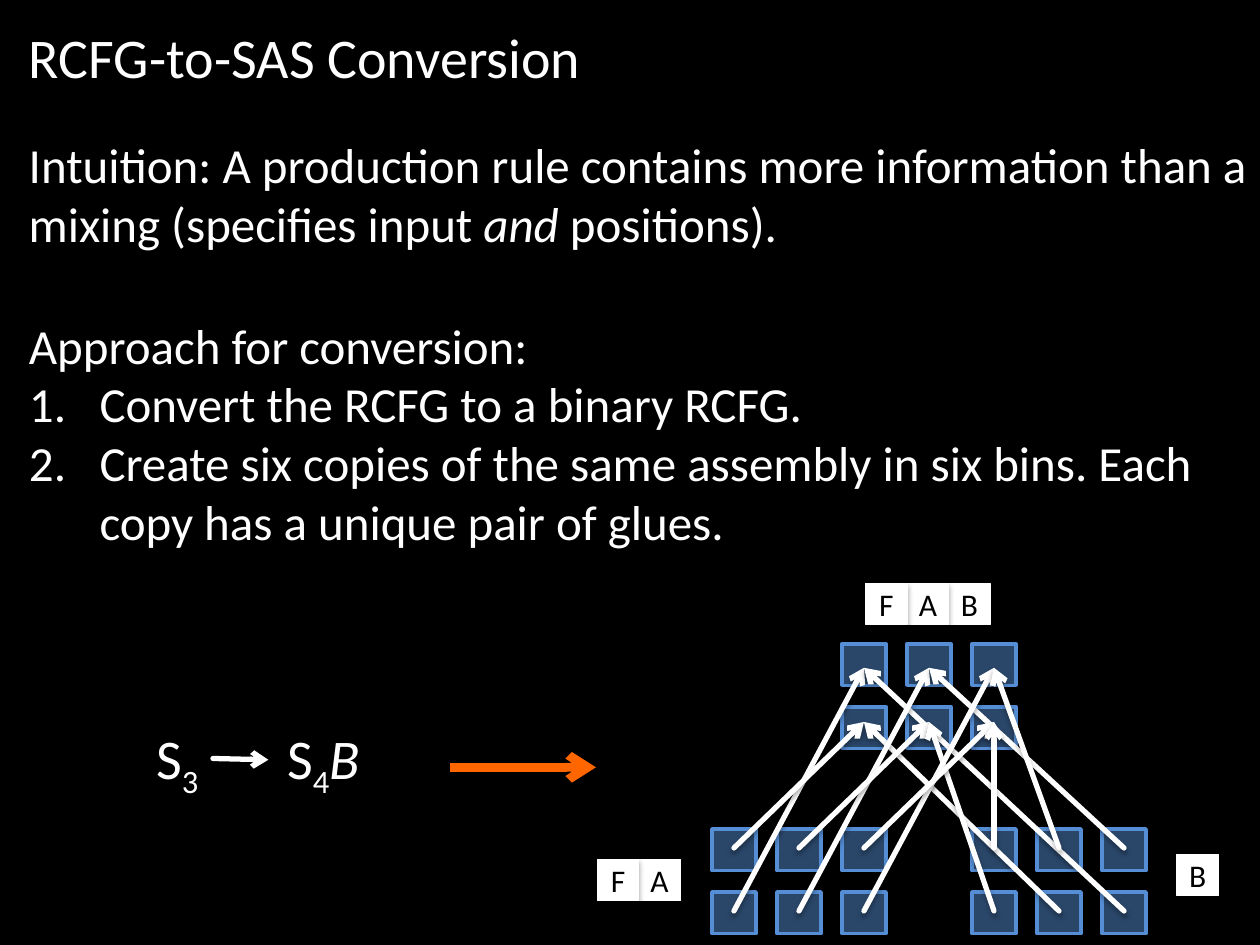
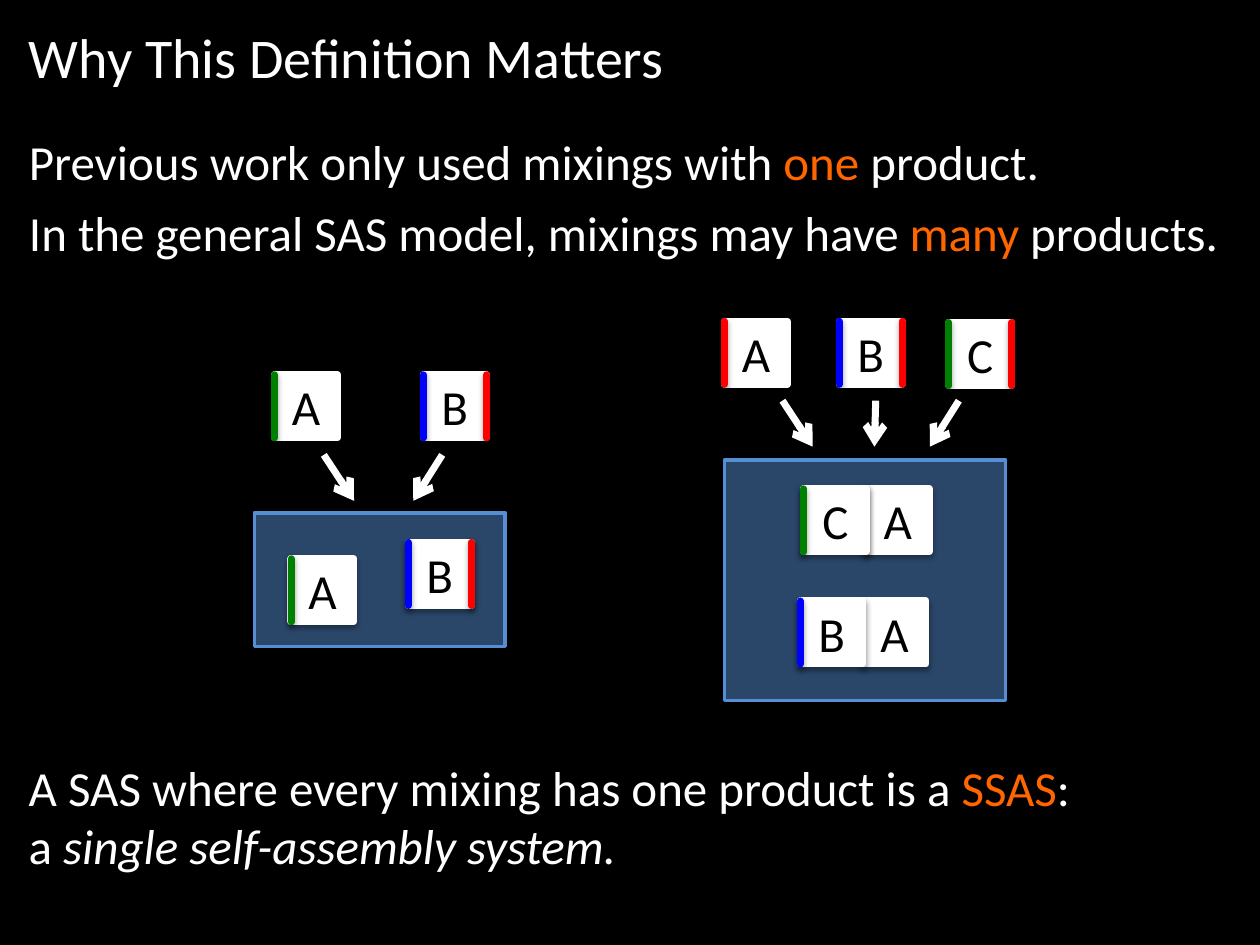
from itertools import product

from lxml.etree import SubElement
from pptx import Presentation
from pptx.dml.color import RGBColor
from pptx.enum.shapes import MSO_CONNECTOR, MSO_SHAPE
from pptx.enum.text import MSO_ANCHOR, MSO_AUTO_SIZE, PP_ALIGN
from pptx.oxml.ns import qn
from pptx.util import Inches, Pt

BLACK = RGBColor(0x00, 0x00, 0x00)
WHITE = RGBColor(0xFF, 0xFF, 0xFF)
ORANGE = RGBColor(0xFF, 0x66, 0x00)
BIN_BLUE = RGBColor(0x55, 0x8E, 0xD5)
RED = RGBColor(0xFF, 0x00, 0x00)
GREEN = RGBColor(0x00, 0x80, 0x00)
BLUE = RGBColor(0x00, 0x00, 0xFF)

FONT = "Calibri"
TITLE_SIZE, BODY_SIZE, TILE_SIZE = 32, 28, 18
ITALIC, ACCENT, SUB = "italic", "accent", "subscript"

# The slide is a grid of 100 columns and 75 rows of square cells.
COLUMNS, ROWS = 100, 75
CELL = Inches(0.1)
MARGIN = 1.3
FULL = COLUMNS - MARGIN
TITLE_BOX = (MARGIN, 1.3, 90, 6.4)


def write(slide, paragraphs, box, holder=None, size=BODY_SIZE, color=WHITE,
          align=PP_ALIGN.LEFT, anchor=MSO_ANCHOR.TOP, inset=(1, 0.5),
          gap=0, numbered_from=None):
    """Set paragraphs, each a list of strings or (string, mark), in a holder or a new text box.

    Paragraphs from index numbered_from on become a numbered list.
    """
    left, top, width, height = [int(n * CELL) for n in box]
    holder = holder or slide.shapes.add_textbox(left, top, width, height)
    holder.left, holder.top, holder.width, holder.height = left, top, width, height
    frame = holder.text_frame
    frame.word_wrap = True
    frame.auto_size = MSO_AUTO_SIZE.NONE
    frame.vertical_anchor = anchor
    frame.margin_left = frame.margin_right = int(inset[0] * CELL)
    frame.margin_top = frame.margin_bottom = int(inset[1] * CELL)
    for index, runs in enumerate(paragraphs):
        paragraph = frame.add_paragraph() if index else frame.paragraphs[0]
        paragraph.alignment = align
        paragraph.space_before = Pt(gap if index else 0)
        numbered = numbered_from is not None and index >= numbered_from
        indent = int(5.6 * CELL) if numbered else 0
        properties = paragraph._p.get_or_add_pPr()
        properties.set("marL", str(indent))
        properties.set("indent", str(-indent))
        if numbered:
            SubElement(properties, qn("a:buFont"), typeface="+mj-lt")
            SubElement(properties, qn("a:buAutoNum"), type="arabicPeriod")
        else:
            SubElement(properties, qn("a:buNone"))
        for part in runs:
            text, mark = (part, None) if isinstance(part, str) else part
            run = paragraph.add_run()
            run.text = text
            run.font.name, run.font.size = FONT, Pt(size)
            run.font.italic = mark == ITALIC
            run.font.color.rgb = ORANGE if mark == ACCENT else color
            if mark == SUB:
                run.font._element.set("baseline", "-25000")


def draw(slide, box, color, width, fill=None, opacity=100, arrow=False, cap="flat"):
    """Draw a shadowed rectangle, or without fill a line whose box holds its two ends."""
    box = [int(n * CELL) for n in box]
    if fill is None:
        item = slide.shapes.add_connector(MSO_CONNECTOR.STRAIGHT, *box)
    else:
        item = slide.shapes.add_shape(MSO_SHAPE.RECTANGLE, *box)
        item.fill.solid()
        item.fill.fore_color.rgb = fill
        tint = item._element.spPr.find(f".//{qn('a:srgbClr')}")
        SubElement(tint, qn("a:alpha"), val=str(opacity * 1000))
    item.line.color.rgb = color
    item.line.width = Pt(width)
    outline = item.get_or_add_ln()
    outline.set("cap", cap)
    if arrow:
        SubElement(outline, qn("a:tailEnd"), type="arrow")
    effects = SubElement(item._element.spPr, qn("a:effectLst"))
    shadow = SubElement(effects, qn("a:outerShdw"), blurRad="40000", dist="23000",
                        dir="5400000", rotWithShape="0")
    shade = SubElement(shadow, qn("a:srgbClr"), val=str(BLACK))
    SubElement(shade, qn("a:alpha"), val="35000")
    return item


deck = Presentation()
deck.slide_width, deck.slide_height = COLUMNS * CELL, ROWS * CELL
deck.slide_master.background.fill.solid()
deck.slide_master.background.fill.fore_color.rgb = BLACK
title_and_body = deck.slide_layouts[1]

# Slide 1: conversion
conversion = deck.slides.add_slide(title_and_body)
write(conversion, [["RCFG-to-SAS Conversion"]], TITLE_BOX,
      holder=conversion.shapes.title, size=TITLE_SIZE)
write(conversion, [["Approach for conversion:"],
                   ["Convert the RCFG to a binary RCFG."],
                   ["Create six copies of the same assembly in six bins. "
                    "Each copy has a unique pair of glues."]],
      (MARGIN, 24.5, FULL, 24.6), holder=conversion.placeholders[1], numbered_from=1)
write(conversion, [["Intuition: A production rule contains more information than a "
                    "mixing (specifies input ", ("and", ITALIC), " positions)."]],
      (MARGIN, 10.2, FULL, 10.4))

# Bins: product columns 2-4 above, ingredient columns 0-2 and 4-6 below
bin_x = [58.25 + 5.16 * column for column in range(7)]
bin_y = [52.75, 57.75, 67.45, 72.45]
arrow_y = [53, 57.3, 67.3, 72.3]
BIN_WIDTH, BIN_HEIGHT = 3.5, 3.3
product_bins = list(product((2, 3, 4), (0, 1)))
ingredient_bins = list(product((0, 1, 2, 4, 5, 6), (2, 3)))
for column, row in product_bins + ingredient_bins:
    draw(conversion, (bin_x[column] - BIN_WIDTH / 2, bin_y[row] - BIN_HEIGHT / 2,
                      BIN_WIDTH, BIN_HEIGHT), BIN_BLUE, 2, fill=BIN_BLUE, opacity=50)

right_ingredients = [(6, 3), (5, 3), (6, 2), (4, 3), (5, 2), (4, 2)]
for (column, row), right in zip(product_bins, right_ingredients):
    left = (column - 2, 3 - row)
    for from_column, from_row in (left, right):
        draw(conversion, (bin_x[from_column], arrow_y[from_row], bin_x[column], arrow_y[row]),
             WHITE, 3, arrow=True, cap="rnd")

SMALL_TILE = 3.3
for letters, left, top in [("FA", 47.4, 68.2), ("B", 93.4, 67.8), ("FAB", 68.7, 46.3)]:
    for place, letter in reversed(list(enumerate(letters))):
        box = (left + place * SMALL_TILE, top, SMALL_TILE, SMALL_TILE)
        tile = draw(conversion, box, WHITE, 0.75, fill=WHITE)
        write(conversion, [[letter]], box, holder=tile, size=TILE_SIZE, color=BLACK,
              align=PP_ALIGN.CENTER, anchor=MSO_ANCHOR.MIDDLE, inset=(0, 0))

RULE_TOP, RULE_HEIGHT = 56.9, 6.4
write(conversion, [["S", ("3", SUB)]], (11.4, RULE_TOP, 6, RULE_HEIGHT), size=TITLE_SIZE)
write(conversion, [["S", ("4", SUB), ("B", ITALIC)]], (21.8, RULE_TOP, 10, RULE_HEIGHT),
      size=TITLE_SIZE)
draw(conversion, (16.9, 60.2, 21.3, 60.3), WHITE, 3, arrow=True, cap="rnd")
draw(conversion, (35.7, 60.9, 47.3, 60.9), ORANGE, 5, arrow=True)

# Slide 2: one product against many
definition = deck.slides.add_slide(title_and_body)
write(definition, [["Why This Definition Matters"]], TITLE_BOX,
      holder=definition.shapes.title, size=TITLE_SIZE)
write(definition, [["Previous work only used mixings with ", ("one", ACCENT), " product."],
                   ["In the general SAS model, mixings may have ", ("many", ACCENT),
                    " products."]],
      (MARGIN, 9.9, FULL, 11.4), holder=definition.placeholders[1], gap=7)
write(definition, [["A SAS where every mixing has one product is a ", ("SSAS", ACCENT), ":"],
                   ["a ", ("single self-assembly system.", ITALIC)]],
      (MARGIN, 59.6, 93.3, 10.4))

for mixing_bin in [(20.2, 40.7, 19.9, 10.6), (57.5, 36.5, 22.3, 19.1)]:
    draw(definition, mixing_bin, BIN_BLUE, 2, fill=BIN_BLUE, opacity=50)

# Each mixing arrow: start column, end column, top row
for start, end, top in [(25.7, 28.1, 36.1), (35.1, 32.8, 36.1),
                        (62.1, 64.5, 31.8), (69.5, 69.4, 31.8), (76.1, 73.8, 31.8)]:
    draw(definition, (start, top, end, top + 3.65), WHITE, 4, arrow=True)

# Each tile: letter, left, top, left glue, right glue
TILE = 5
tiles = [
    ("B", 33.6, 29.75, BLUE, RED), ("A", 21.8, 29.75, GREEN, None),
    ("B", 32.4, 43.05, BLUE, RED), ("A", 23.1, 44.35, GREEN, None),
    ("B", 66.6, 25.5, BLUE, RED), ("A", 57.5, 25.5, RED, None),
    ("C", 75.3, 25.6, GREEN, RED),
    ("A", 68.75, 38.8, RED, None), ("C", 63.8, 38.8, GREEN, None),
    ("A", 68.5, 47.7, None, None), ("B", 63.5, 47.7, BLUE, None),
]
for letter, left, top, left_glue, right_glue in tiles:
    box = (left, top, TILE, TILE)
    tile = draw(definition, box, WHITE, 4, fill=WHITE)
    write(definition, [[letter]], box, holder=tile, color=BLACK,
          align=PP_ALIGN.CENTER, anchor=MSO_ANCHOR.MIDDLE, inset=(0, 0))
    for x, glue in ((left, left_glue), (left + TILE, right_glue)):
        if glue is not None:
            draw(definition, (x, top + TILE, x, top), glue, 4, cap="rnd")

deck.save("out.pptx")
